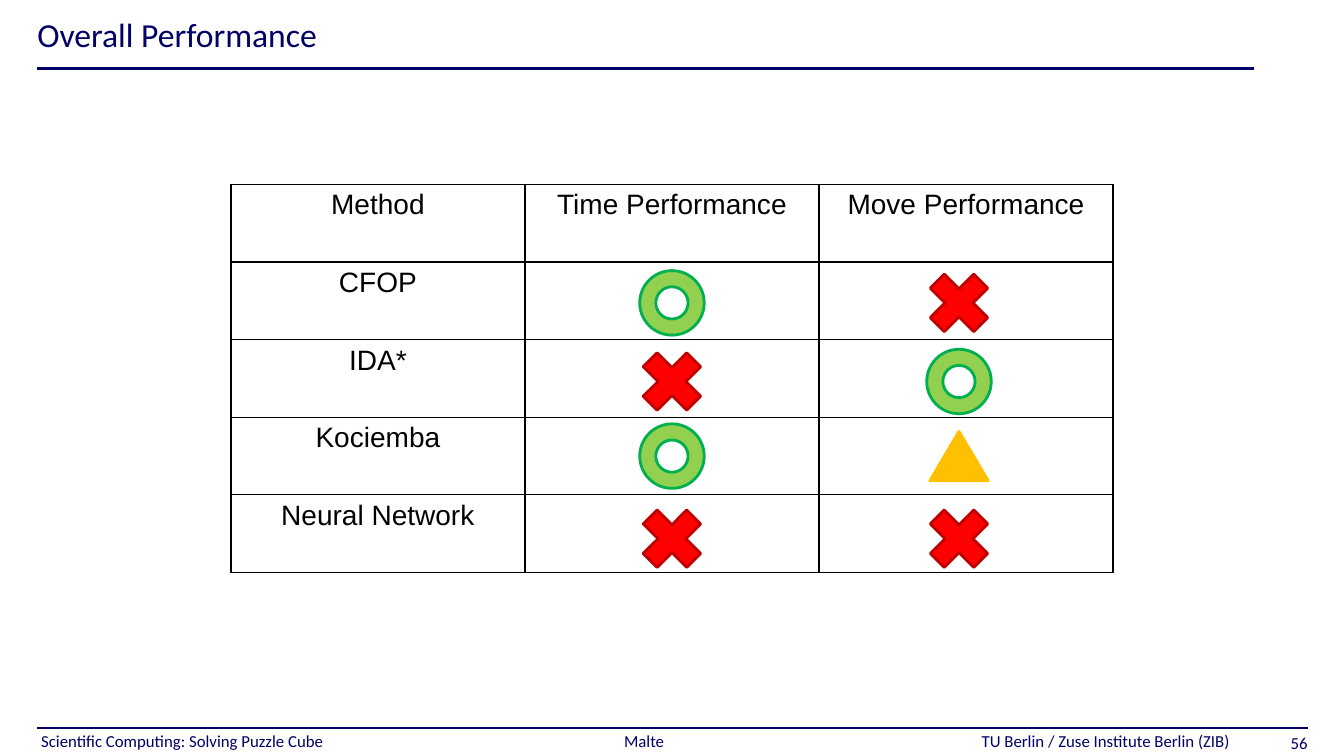
import dataclasses

import lxml.etree
import pptx
import pptx.dml.color
import pptx.enum.shapes
import pptx.enum.text
import pptx.oxml
import pptx.oxml.ns
import pptx.util

Inches = pptx.util.Inches
Pt = pptx.util.Pt
Shape = pptx.enum.shapes.MSO_SHAPE
Align = pptx.enum.text.PP_ALIGN
Anchor = pptx.enum.text.MSO_ANCHOR
qn = pptx.oxml.ns.qn


@dataclasses.dataclass(frozen=True)
class Theme:
    """Colours, fonts and sizes in points."""
    navy: str = "000066"
    black: str = "000000"
    heading_font: str = "Calibri"
    table_font: str = "Arial"
    title_size: int = 24
    table_size: int = 20
    footer_size: int = 12
    rule_width: float = 1.5
    border_width: int = 1
    mark_width: int = 2


@dataclasses.dataclass(frozen=True)
class Box:
    """A region in inches."""
    left: float
    top: float
    width: float
    height: float

    def emu(self):
        """Return the region as four lengths."""
        return [Inches(n) for n in (self.left, self.top, self.width, self.height)]


@dataclasses.dataclass(frozen=True)
class Mark:
    """The look of one rating symbol."""
    outline: Shape
    width: float
    height: float
    fill: str
    line: str


THEME = Theme()
MARKS = {
    "good": Mark(Shape.DONUT, 0.64, 0.64, "92D050", "00B050"),
    "bad": Mark(Shape.MATH_MULTIPLY, 0.83, 0.83, "FF0000", "C00000"),
    "fair": Mark(Shape.ISOSCELES_TRIANGLE, 0.58, 0.49, "FFC000", "FFC000"),
}
HEADINGS = ["Method", "Time Performance", "Move Performance"]
RATINGS = [
    ("CFOP", "good", "bad"),
    ("IDA*", "bad", "good"),
    ("Kociemba", "good", "fair"),
    ("Neural Network", "bad", "bad"),
]
MARK_SHIFT = [0, -0.07]
MARK_DROP = [0.02, 0.03, 0, 0.05]


def rgb(code):
    """Turn a hex code into a colour."""
    return pptx.dml.color.RGBColor.from_string(code)


def style(paragraph, font, size, color, align=Align.LEFT):
    """Set the font and alignment of a paragraph."""
    paragraph.alignment = align
    paragraph.font.name = font
    paragraph.font.size = Pt(size)
    paragraph.font.color.rgb = rgb(color)


def set_margins(frame, inset):
    """Give a text frame equal margins."""
    frame.margin_left = frame.margin_right = Inches(inset)
    frame.margin_top = frame.margin_bottom = Inches(inset)


def add_rule(slide, left, right, y):
    """Draw a horizontal rule."""
    rule = slide.shapes.add_connector(
        pptx.enum.shapes.MSO_CONNECTOR.STRAIGHT,
        Inches(left), Inches(y), Inches(right), Inches(y))
    rule.line.color.rgb = rgb(THEME.navy)
    rule.line.width = Pt(THEME.rule_width)
    lxml.etree.SubElement(rule._element.spPr, qn("a:effectLst"))


def add_header(slide, box, heading):
    """Place the title over its rule."""
    title = slide.shapes.title
    title.left, title.top, title.width, title.height = box.emu()
    frame = title.text_frame
    frame.text = heading
    frame.vertical_anchor = Anchor.BOTTOM
    set_margins(frame, 0)
    style(frame.paragraphs[0], THEME.heading_font, THEME.title_size, THEME.navy)
    add_rule(slide, box.left, box.left + box.width + 1.15, box.top + 0.68)


def add_footer(slide, box, parts, page):
    """Place a rule, three tabbed footer parts and the page number."""
    add_rule(slide, box.left, box.left + box.width, box.top)
    credits_box = Box(box.left - 0.06, box.top - 0.07, box.width + 0.31, 0.4)
    credits_frame = slide.shapes.add_textbox(*credits_box.emu()).text_frame
    credits_frame.word_wrap = True
    set_margins(credits_frame, 0.1)
    credits = credits_frame.paragraphs[0]
    credits.text = "\t".join(parts)
    tabs = lxml.etree.SubElement(credits._p.get_or_add_pPr(), qn("a:tabLst"))
    for position, align in ((5.98, "ctr"), (11.79, "r")):
        lxml.etree.SubElement(tabs, qn("a:tab"), pos=str(Inches(position)), algn=align)
    style(credits, THEME.heading_font, THEME.footer_size, THEME.navy)

    page_box = Box(box.left + box.width - 0.4, box.top + 0.05, 0.4, 0.2)
    page_frame = slide.shapes.add_textbox(*page_box.emu()).text_frame
    page_frame.word_wrap = True
    page_frame.vertical_anchor = Anchor.MIDDLE
    set_margins(page_frame, 0)
    page_frame.text = page
    style(page_frame.paragraphs[0], THEME.heading_font, THEME.footer_size,
          THEME.navy, Align.RIGHT)


def add_borders(cell):
    """Draw a thin line on each side of a cell."""
    properties = cell._tc.get_or_add_tcPr()
    for index, side in enumerate(("lnL", "lnR", "lnT", "lnB")):
        border = pptx.oxml.parse_xml(
            f'<a:{side} {pptx.oxml.ns.nsdecls("a")} w="{Pt(THEME.border_width)}">'
            f'<a:solidFill><a:srgbClr val="{THEME.black}"/></a:solidFill></a:{side}>')
        properties.insert(index, border)


def add_mark(slide, mark, center_x, center_y):
    """Draw a rating symbol around a point."""
    box = Box(center_x - mark.width / 2, center_y - mark.height / 2,
              mark.width, mark.height)
    symbol = slide.shapes.add_shape(mark.outline, *box.emu())
    symbol.shadow.inherit = False
    symbol.fill.solid()
    symbol.fill.fore_color.rgb = rgb(mark.fill)
    symbol.line.color.rgb = rgb(mark.line)
    symbol.line.width = Pt(THEME.mark_width)


def add_comparison(slide, box):
    """Place the method table and its rating symbols."""
    row_count, column_count = len(RATINGS) + 1, len(HEADINGS)
    row_height, column_width = box.height / row_count, box.width / column_count
    table = slide.shapes.add_table(row_count, column_count, *box.emu()).table
    table.first_row = table.horz_banding = False
    labels = [HEADINGS] + [(method, "", "") for method, *_ in RATINGS]
    for row, texts in enumerate(labels):
        for column, text in enumerate(texts):
            cell = table.cell(row, column)
            cell.text = text
            cell.fill.background()
            add_borders(cell)
            style(cell.text_frame.paragraphs[0], THEME.table_font,
                  THEME.table_size, THEME.black, Align.CENTER)
    for row, (_, *ratings) in enumerate(RATINGS):
        for column, rating in enumerate(ratings):
            add_mark(slide, MARKS[rating],
                     box.left + (column + 1.5) * column_width + MARK_SHIFT[column],
                     box.top + (row + 1.5) * row_height + MARK_DROP[row])


def main():
    """Build and save the slide."""
    deck = pptx.Presentation()
    deck.slide_width, deck.slide_height = Inches(13.33), Inches(7.5)
    slide = deck.slides.add_slide(deck.slide_layouts[5])
    add_header(slide, Box(0.37, 0, 10.92, 0.54), "Overall Performance")
    add_footer(slide, Box(0.37, 7.22, 12.6, 0.28),
               ["Scientific Computing: Solving Puzzle Cube", "Malte",
                "TU Berlin / Zuse Institute Berlin (ZIB)"], "56")
    add_comparison(slide, Box(2.29, 1.83, 8.75, 3.85))
    deck.save("out.pptx")


if __name__ == "__main__":
    main()
